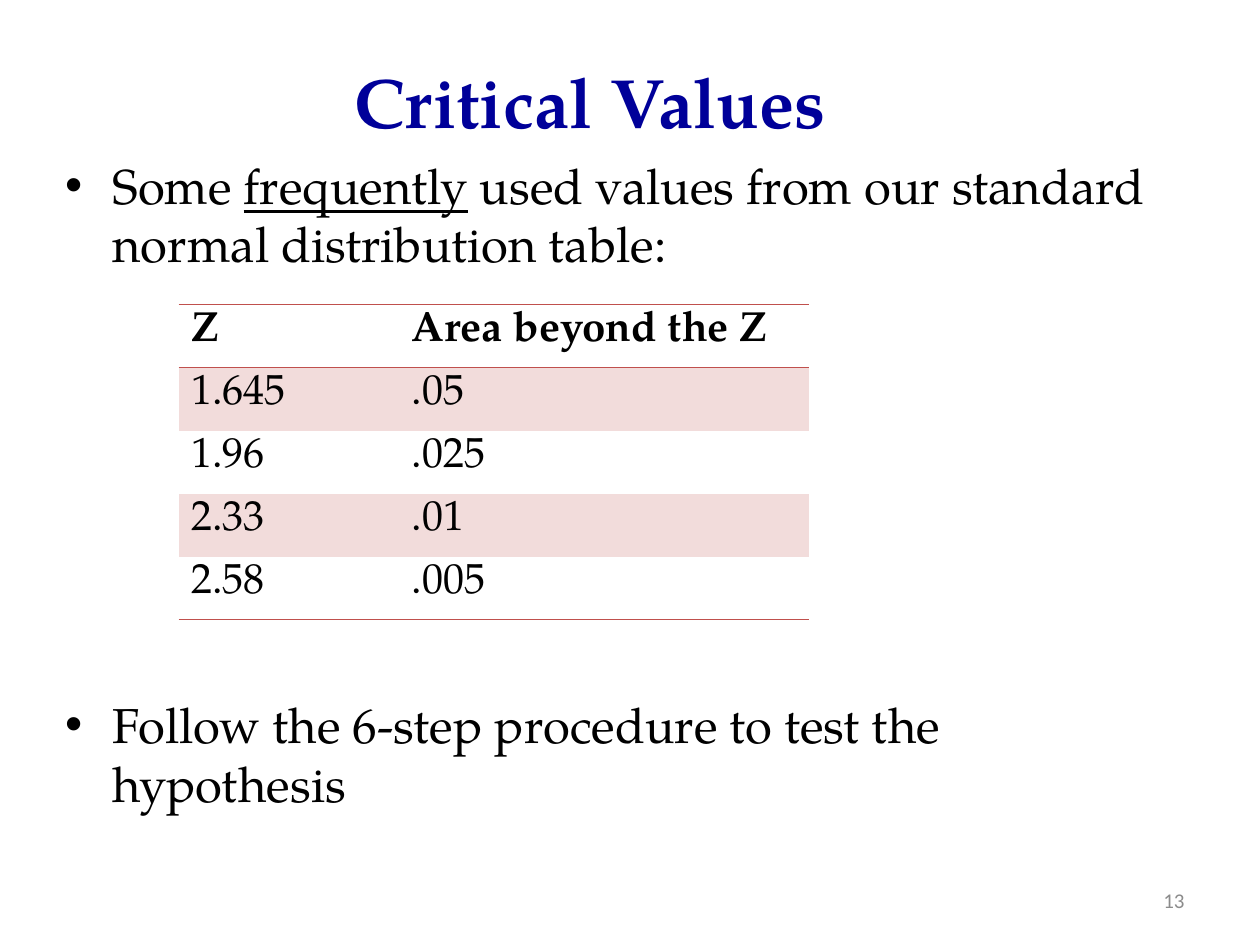
import pptx
import pptx.dml.color
import pptx.enum.text
import pptx.oxml
import pptx.oxml.ns
import pptx.util
from dataclasses import dataclass

Cm, Pt = pptx.util.Cm, pptx.util.Pt
RGB = pptx.dml.color.RGBColor.from_string
ALIGN = pptx.enum.text.PP_ALIGN
ANCHOR = pptx.enum.text.MSO_ANCHOR
NO_STYLE_NO_GRID = "{2D5ABB26-0587-4C30-8999-92F81FD0307C}"


@dataclass(frozen=True)
class Theme:
    font: str = "TeX Gyre Pagella"
    number_font: str = "Calibri"
    title: str = "000099"
    text: str = "000000"
    number: str = "8C8C8C"
    rule: str = "C0504D"
    band: str = "F2DCDB"
    title_size: int = 40
    body_size: int = 28
    table_size: int = 24
    number_size: int = 12


theme = Theme()


def style(p, size, color, name=theme.font, bold=False):
    p.font.name, p.font.size, p.font.bold = name, Pt(size), bold
    p.font.color.rgb = RGB(color)


def add_rule(cell, side):
    """Draw a 1 pt border on the top ("T") or bottom ("B") of a cell."""
    line = pptx.oxml.parse_xml(
        f'<a:ln{side} {pptx.oxml.ns.nsdecls("a")} w="12700"><a:solidFill>'
        f'<a:srgbClr val="{theme.rule}"/></a:solidFill></a:ln{side}>')
    borders = len(cell._tc.tcPr.xpath("a:lnT | a:lnB"))
    cell._tc.tcPr.insert(borders, line)


prs = pptx.Presentation()
prs.slide_width, prs.slide_height = Cm(25.4), Cm(19.05)
slide = prs.slides.add_slide(prs.slide_layouts[1])

# Title
title = slide.shapes.title
title.left, title.top, title.width, title.height = Cm(0.42), Cm(1.06), Cm(23.3), Cm(1.95)
tf = title.text_frame
tf.auto_size = pptx.enum.text.MSO_AUTO_SIZE.NONE
tf.vertical_anchor = ANCHOR.TOP
p = tf.paragraphs[0]
p.text = "Critical Values "
p.alignment = ALIGN.CENTER
style(p, theme.title_size, theme.title, bold=True)

# Bullets, with room for the table between them
body = slide.placeholders[1]
body.left, body.top, body.width, body.height = Cm(1.06), Cm(3), Cm(23.07), Cm(12.7)
tf = body.text_frame
tf.auto_size = pptx.enum.text.MSO_AUTO_SIZE.NONE
p = tf.paragraphs[0]
for text in ("Some ", "frequently", " used values from our standard normal distribution table:"):
    r = p.add_run()
    r.text = text
    if text == "frequently":
        r.font.underline = True
p = tf.add_paragraph()
p.text = "Follow the 6-step procedure to test the hypothesis"
p.space_before = Pt(241)
for p in tf.paragraphs:
    style(p, theme.body_size, theme.text)

# Table of critical values
rows = [
    ("Z", "Area beyond the Z"),
    ("1.645", ".05"),
    ("1.96", ".025"),
    ("2.33", ".01"),
    ("2.58", ".005"),
]
row_height = 1.27
table = slide.shapes.add_table(len(rows), 2, Cm(3.6), Cm(6.14), Cm(12.7),
                               Cm(row_height * len(rows))).table
table._tbl.tblPr.find(pptx.oxml.ns.qn("a:tableStyleId")).text = NO_STYLE_NO_GRID
for column, width in zip(table.columns, (4.45, 8.25)):
    column.width = Cm(width)
for i, values in enumerate(rows):
    table.rows[i].height = Cm(row_height)
    for cell, value in zip(table.rows[i].cells, values):
        cell.text = value
        style(cell.text_frame.paragraphs[0], theme.table_size, theme.text, bold=i == 0)
        if i % 2:
            cell.fill.solid()
            cell.fill.fore_color.rgb = RGB(theme.band)
        else:
            cell.fill.background()
        if i == 0:
            add_rule(cell, "T")
        if i in (0, len(rows) - 1):
            add_rule(cell, "B")

# Slide number
number = slide.shapes.add_textbox(Cm(18.2), Cm(17.65), Cm(5.93), Cm(1.01))
tf = number.text_frame
tf.word_wrap = True
tf.vertical_anchor = ANCHOR.MIDDLE
p = tf.paragraphs[0]
p.text = "13"
p.alignment = ALIGN.RIGHT
style(p, theme.number_size, theme.number, theme.number_font)

prs.save("out.pptx")
